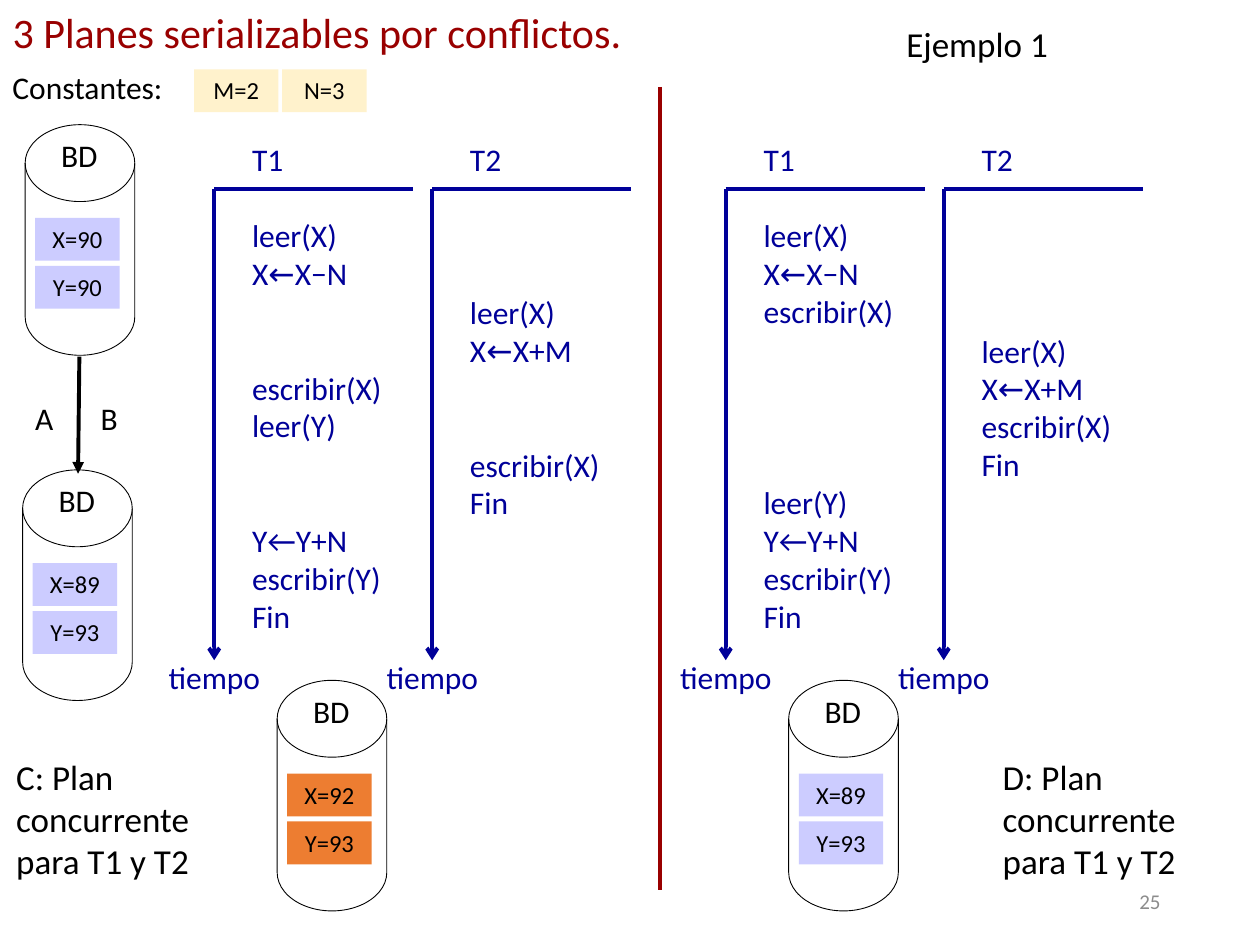
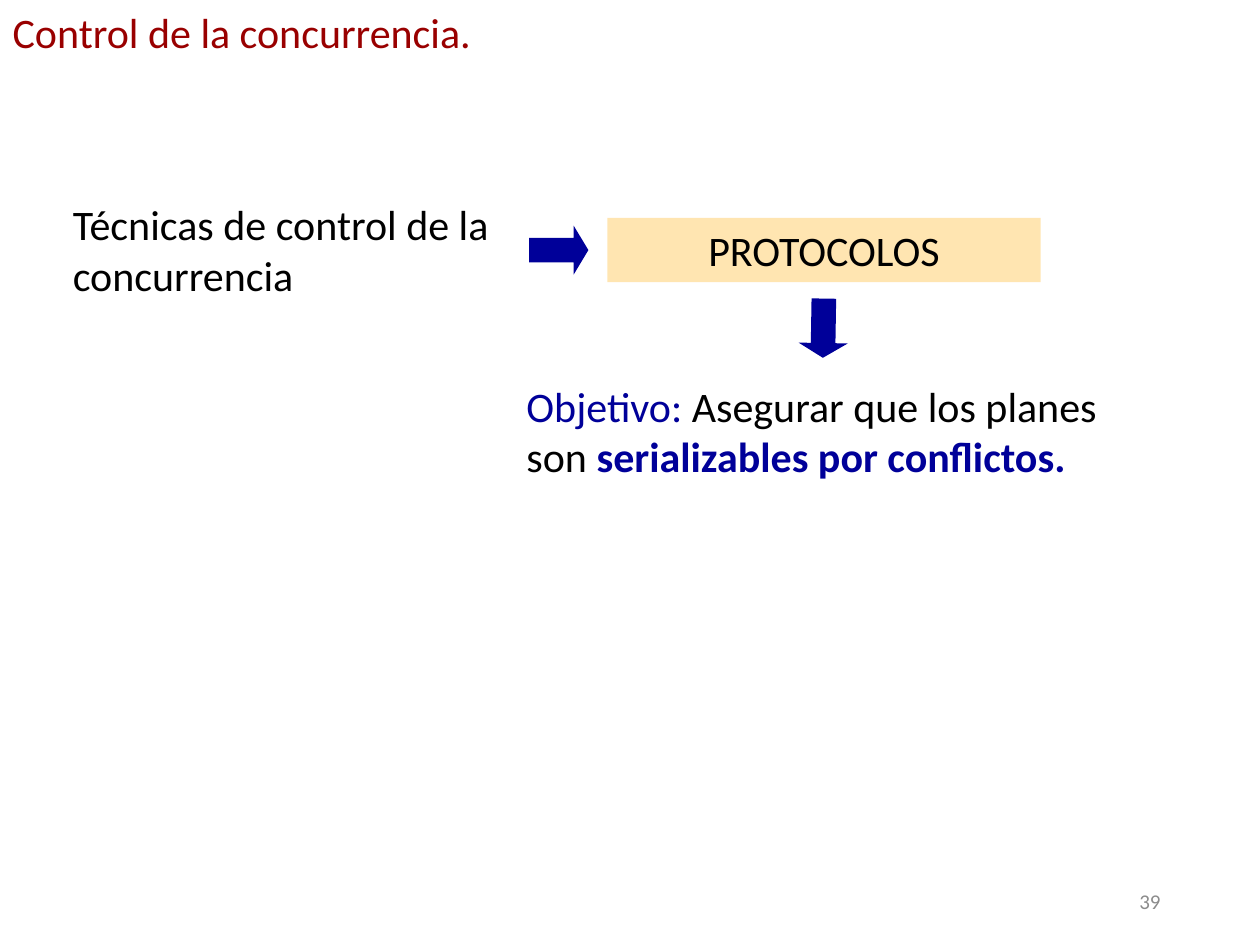
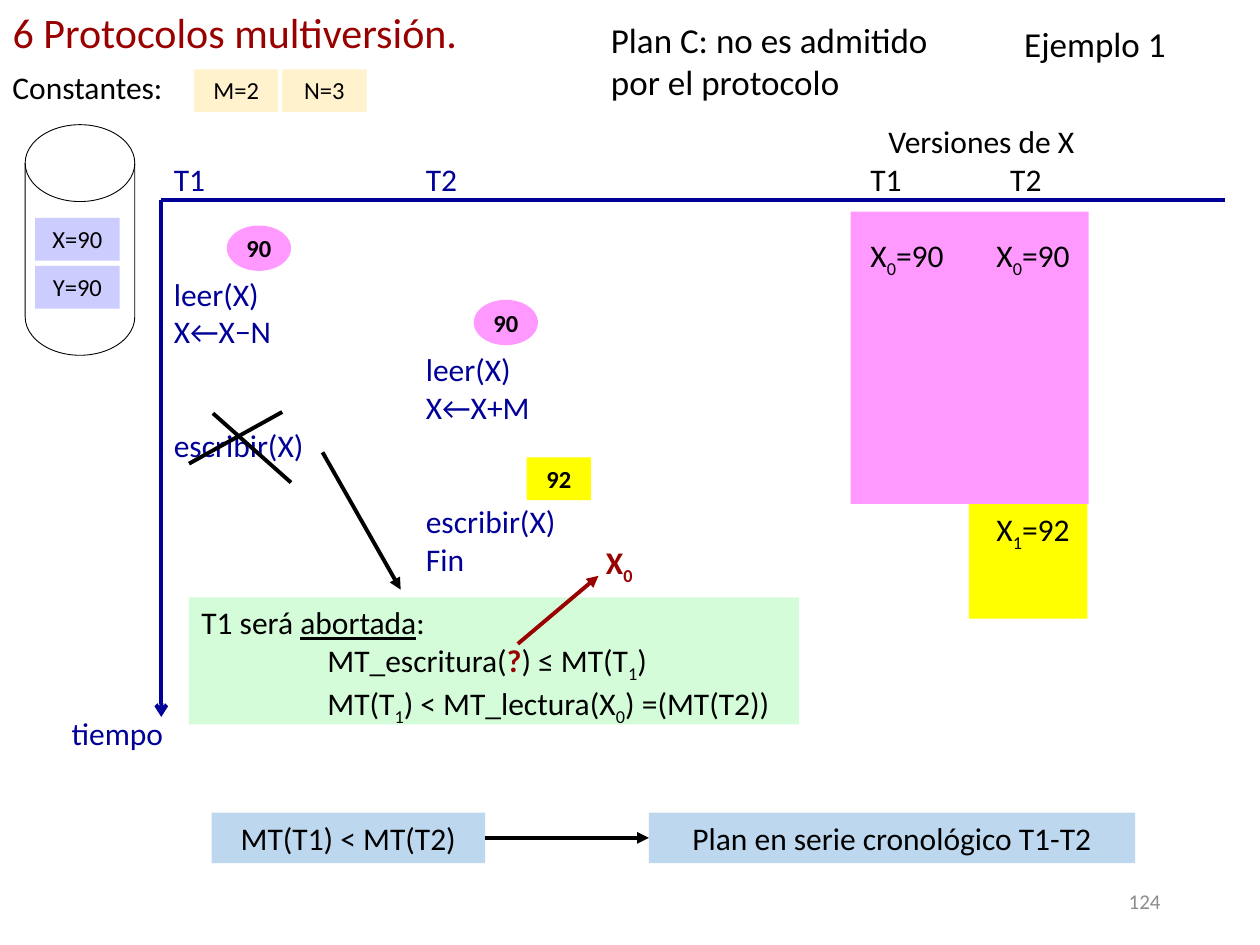
from lxml import etree
from pptx import Presentation
from pptx.dml.color import RGBColor
from pptx.enum.shapes import MSO_CONNECTOR, MSO_SHAPE as SHAPE
from pptx.enum.text import MSO_ANCHOR as ANCHOR, MSO_AUTO_SIZE, PP_ALIGN as ALIGN
from pptx.oxml.ns import qn
from pptx.util import Inches, Pt

COLORS = {
    "title": "990000", "blue": "000099", "black": "000000", "white": "FFFFFF",
    "number": "8C8C8C", "constant": "FFF2CC", "value": "CCCCFF", "wrong": "ED7D31",
    "protocol": "FFE5B1", "read": "FF99FF", "written": "FFFF00",
    "abort": "D4FCD8", "order": "BDD7EE",
}
LINE_HEIGHT = 22  # points taken by one 18 pt line of a schedule
SUB = {"sub": True}
RED = {"color": "title", "bold": True}
COMIC = {"name": "Comic Neue"}


def rgb(name):
    return RGBColor.from_string(COLORS[name])


def box_inches(box):
    return [Inches(length) for length in box]


def add_run(paragraph, text, style):
    """Style holds font attributes, plus a colour name and an optional subscript."""
    style = {"name": "Calibri", "size": 18, "color": "black", **style}
    run = paragraph.add_run()
    run.text = text
    run.font.color.rgb = rgb(style.pop("color"))
    if style.pop("sub", False):
        run._r.get_or_add_rPr().set("baseline", "-25000")
    style["size"] = Pt(style["size"])
    for attribute, value in style.items():
        setattr(run.font, attribute, value)


def add_tab(paragraph, position):
    tabs = etree.SubElement(paragraph._p.get_or_add_pPr(), qn("a:tabLst"))
    etree.SubElement(tabs, qn("a:tab"), pos=str(Inches(position)), algn="l")


def write(shape, lines, align=ALIGN.LEFT, anchor=ANCHOR.TOP, inset=0.1, wrap=True,
          tab=None, **style):
    """Each line is a string or a list of strings and (string, style) pairs."""
    frame = shape.text_frame
    settings = {"word_wrap": wrap, "vertical_anchor": anchor, "auto_size": MSO_AUTO_SIZE.NONE,
                "margin_left": Inches(inset), "margin_right": Inches(inset),
                "margin_top": Inches(0.05), "margin_bottom": Inches(0.05)}
    for attribute, value in settings.items():
        setattr(frame, attribute, value)
    for index, line in enumerate(lines):
        paragraph = frame.add_paragraph() if index else frame.paragraphs[0]
        paragraph.alignment = align
        if tab:
            add_tab(paragraph, tab)
        for piece in [line] if isinstance(line, str) else line:
            text, extra = (piece, {}) if isinstance(piece, str) else piece
            add_run(paragraph, text, {**style, **extra})
    return shape


def add_text(slide, box, *lines, **options):
    return write(slide.shapes.add_textbox(*box_inches(box)), lines, **options)


def add_block(slide, box, fill, *lines, kind=SHAPE.RECTANGLE, outline=None, **options):
    block = slide.shapes.add_shape(kind, *box_inches(box))
    block.shadow.inherit = False
    block.fill.solid()
    block.fill.fore_color.rgb = rgb(fill)
    if outline:
        block.line.color.rgb = rgb(outline)
        block.line.width = Pt(0.5)
    else:
        block.line.fill.background()
    if lines:
        write(block, lines, **options)
    return block


def add_line(slide, start, end, color="black", head=None):
    line = slide.shapes.add_connector(MSO_CONNECTOR.STRAIGHT, *box_inches(start + end))
    line.line.color.rgb = rgb(color)
    line.line.width = Pt(2.25)
    properties = line._element.spPr
    if head:
        etree.SubElement(properties.find(qn("a:ln")), qn("a:tailEnd"), type=head)
    etree.SubElement(properties, qn("a:effectLst"))
    return line


def add_schedule(slide, box, steps, **options):
    """Steps map a time row to its text; skipped rows become space before."""
    schedule = add_text(slide, box, *steps.values(), **options)
    rows = list(steps)
    for paragraph, earlier, row in zip(schedule.text_frame.paragraphs[1:], rows, rows[1:]):
        paragraph.space_before = Pt((row - earlier - 1) * LINE_HEIGHT)
    return schedule


def new_slide(deck, title, title_width, number):
    slide = deck.slides.add_slide(deck.slide_layouts[5])
    heading = slide.shapes.title
    box = box_inches((0, 0, title_width, 0.5))
    for attribute, value in zip(("left", "top", "width", "height"), box):
        setattr(heading, attribute, value)
    write(heading, [title], size=24, color="title", wrap=False)
    add_text(slide, (7.06, 6.95, 2.25, 0.4), number, size=12, color="number",
             align=ALIGN.RIGHT, anchor=ANCHOR.MIDDLE)
    return slide


def add_constants(slide, left, top):
    add_text(slide, (left, top, 1.62, 0.4), "Constantes:")
    for index, constant in enumerate(("M=2", "N=3")):
        add_block(slide, (left + 1.54 + 0.7 * index, top + 0.06, 0.67, 0.34), "constant",
                  constant, size=14, align=ALIGN.CENTER)


def add_database(slide, left, top, values, label="BD", fill="value"):
    add_block(slide, (left, top, 0.87, 1.83), "white",
              kind=SHAPE.FLOWCHART_MAGNETIC_DISK, outline="black")
    if label:
        add_text(slide, (left + 0.1, top + 0.04, 0.66, 0.4), label, align=ALIGN.CENTER)
    for index, value in enumerate(values):
        add_block(slide, (left + 0.08, top + 0.74 + 0.38 * index, 0.67, 0.34), fill,
                  value, size=14, align=ALIGN.CENTER)


def add_time_axis(slide, left, top, width, height, label_shift):
    bottom = top + height
    add_block(slide, (left - label_shift, bottom - 0.07, 0.96, 0.4), "white",
              "tiempo", color="blue")
    add_line(slide, (left, top), (left, bottom), "blue", "arrow")
    add_line(slide, (left, top), (left + width, top), "blue")


def add_plan(slide, left, top, transactions, values, fill="value"):
    """Draw the transactions of a plan side by side over the database they leave."""
    for index, steps in enumerate(transactions):
        axis = left + 1.73 * index
        add_time_axis(slide, axis, top + 0.44, 1.58, 3.74, 0.46)
        add_schedule(slide, (axis + 0.3, top, 1.35, 0.31 * (max(steps) + 1)), steps,
                     color="blue", inset=0)
    add_database(slide, left + 0.5, top + 4.34, values, fill=fill)


def add_version_badge(slide, left, top, value, fill, kind, height):
    add_block(slide, (left, top, 0.51, height), fill, value, kind=kind, size=14,
              bold=True, inset=0, align=ALIGN.CENTER, anchor=ANCHOR.MIDDLE)


def add_versions(slide, left, top):
    """Show the versions of X seen by each transaction."""
    add_block(slide, (left, top + 0.76, 1.89, 2.32), "read")
    add_block(slide, (left + 0.94, top + 3.08, 0.94, 0.91), "written")
    versions = add_schedule(slide, (left + 0.06, top, 1.96, 3.74), {
        0: "Versiones de X",
        1: "T1\tT2",
        3: ["X", ("0", SUB), "=90\tX", ("0", SUB), "=90"],
        10: ["\tX", ("1", SUB), "=92"],
    })
    heading, names, *rows = versions.text_frame.paragraphs
    heading.alignment = ALIGN.CENTER
    add_tab(names, 1.11)
    for row in rows:
        add_tab(row, 1)


def add_abort_note(slide, left, top):
    add_block(slide, (left, top, 4.84, 1.01), "abort",
              ["T1 será ", ("abortada", {"underline": True}), ":"],
              ["\tMT_escritura(", ("?", RED), ") ≤ MT(T", ("1", SUB), ")"],
              ["\tMT(T", ("1", SUB), ") < MT_lectura(X", ("0", SUB), ") =(MT(T2))"],
              tab=1)
    add_text(slide, (left + 3.18, top - 0.48, 0.47, 0.4), ["X", ("0", SUB)],
             align=ALIGN.CENTER, **RED)
    add_line(slide, (left + 2.61, top + 0.37), (left + 3.25, top - 0.17), "title", "triangle")


def add_rejected_write(slide, left, top):
    """Cross out the write and point to its consequence."""
    add_line(slide, (left + 0.19, top + 0.01), (left + 0.81, top + 0.56))
    add_line(slide, (left, top + 0.41), (left + 0.74, top))
    add_line(slide, (left + 1.06, top + 0.32), (left + 1.68, top + 1.41), head="triangle")


def add_serial_order(slide, left, top):
    condition = add_block(slide, (left, top, 2.17, 0.4), "order", "MT(T1) < MT(T2)",
                          align=ALIGN.CENTER)
    result = add_block(slide, (left + 3.47, top, 3.86, 0.4), "order",
                       "Plan en serie cronológico T1-T2", align=ALIGN.CENTER)
    implies = add_line(slide, (left + 2.17, top + 0.2), (left + 3.47, top + 0.2),
                       head="triangle")
    implies.begin_connect(condition, 3)
    implies.end_connect(result, 1)


def build_conflict_plans(deck):
    slide = new_slide(deck, "3 Planes serializables por conflictos.", 5.08, "25")
    subtract = ["X", ("←", COMIC), "X−N"]
    add = ["X", ("←", COMIC), "X+M"]
    plan_c = (
        {0: "T1", 2: "leer(X)", 3: subtract, 6: "escribir(X)", 7: "leer(Y)",
         10: "Y←Y+N", 11: "escribir(Y)", 12: "Fin"},
        {0: "T2", 4: "leer(X)", 5: add, 8: "escribir(X)", 9: "Fin"},
    )
    plan_d = (
        {0: "T1", 2: "leer(X)", 3: subtract, 4: "escribir(X)", 9: "leer(Y)",
         10: "Y←Y+N", 11: "escribir(Y)", 12: "Fin"},
        {0: "T2", 5: "leer(X)", 6: add, 7: "escribir(X)", 8: "Fin"},
    )
    add_plan(slide, 1.7, 1.06, plan_c, ("X=92", "Y=93"), "wrong")
    add_plan(slide, 5.76, 1.06, plan_d, ("X=89", "Y=93"))
    add_constants(slide, 0, 0.49)
    add_database(slide, 0.2, 0.99, ("X=90", "Y=90"))
    add_database(slide, 0.18, 3.73, ("X=89", "Y=93"))
    add_line(slide, (0.63, 2.83), (0.62, 3.76), head="triangle")
    for left, name in ((0.18, "A"), (0.7, "B")):
        add_text(slide, (left, 3.12, 0.41, 0.4), name)
    for left, name in ((0.03, "C"), (7.86, "D")):
        add_text(slide, (left, 5.95, 2, 1.11), f"{name}: Plan concurrente para T1 y T2", size=20)
    add_line(slide, (5.24, 0.69), (5.24, 7.06), "title")
    add_text(slide, (7.01, 0.13, 1.49, 0.44), "Ejemplo 1", size=20, align=ALIGN.CENTER)


def build_concurrency_control(deck):
    slide = new_slide(deck, "Control de la concurrencia.", 3.87, "39")
    add_text(slide, (0.48, 1.53, 3.59, 0.91), "Técnicas de control de la concurrencia", size=24)
    add_block(slide, (4.82, 1.73, 3.44, 0.51), "protocol", "PROTOCOLOS", size=24,
              align=ALIGN.CENTER)
    add_text(slide, (4.08, 2.97, 4.9, 0.91),
             [("Objetivo: ", {"color": "blue"}), "Asegurar que los planes son ",
              ("serializables por conflictos.", {"color": "blue", "bold": True})], size=24)
    for left, top, rotation in ((4.24, 1.75, 270), (6.34, 2.37, 1)):
        arrow = add_block(slide, (left, top, 0.39, 0.47), "blue", kind=SHAPE.DOWN_ARROW)
        arrow.rotation = rotation
        arrow.adjustments[0] = 0.5
        arrow.adjustments[1] = 0.3


def build_multiversion(deck):
    slide = new_slide(deck, "6 Protocolos multiversión.", 3.78, "124")
    add_versions(slide, 6.75, 0.92)
    add_time_axis(slide, 1.28, 1.59, 8.44, 4.1, 0.81)
    add_schedule(slide, (1.38, 1.22, 3.78, 3.43), {
        0: "T1\tT2", 3: "leer(X)", 4: "X←X−N", 5: "\tleer(X)", 6: "\tX←X+M",
        7: "escribir(X)", 9: "\tescribir(X)", 10: "\tFin",
    }, color="blue", inset=0, tab=2)
    for left, top in ((1.8, 1.79), (3.76, 2.38)):
        add_version_badge(slide, left, top, "90", "read", SHAPE.OVAL, 0.36)
    add_version_badge(slide, 4.18, 3.63, "92", "written", SHAPE.RECTANGLE, 0.34)
    add_text(slide, (8.03, 0.13, 1.49, 0.44), "Ejemplo 1", size=20)
    add_constants(slide, 0, 0.49)
    add_database(slide, 0.2, 0.99, ("X=90", "Y=90"), label=None)
    add_abort_note(slide, 1.5, 4.74)
    add_rejected_write(slide, 1.5, 3.27)
    add_serial_order(slide, 1.68, 6.45)
    add_text(slide, (4.75, 0.1, 2.72, 0.77), "Plan C: no es admitido por el protocolo", size=20)


def main():
    deck = Presentation()
    deck.slide_width, deck.slide_height = Inches(10), Inches(7.5)
    build_conflict_plans(deck)
    build_concurrency_control(deck)
    build_multiversion(deck)
    deck.save("out.pptx")


if __name__ == "__main__":
    main()
